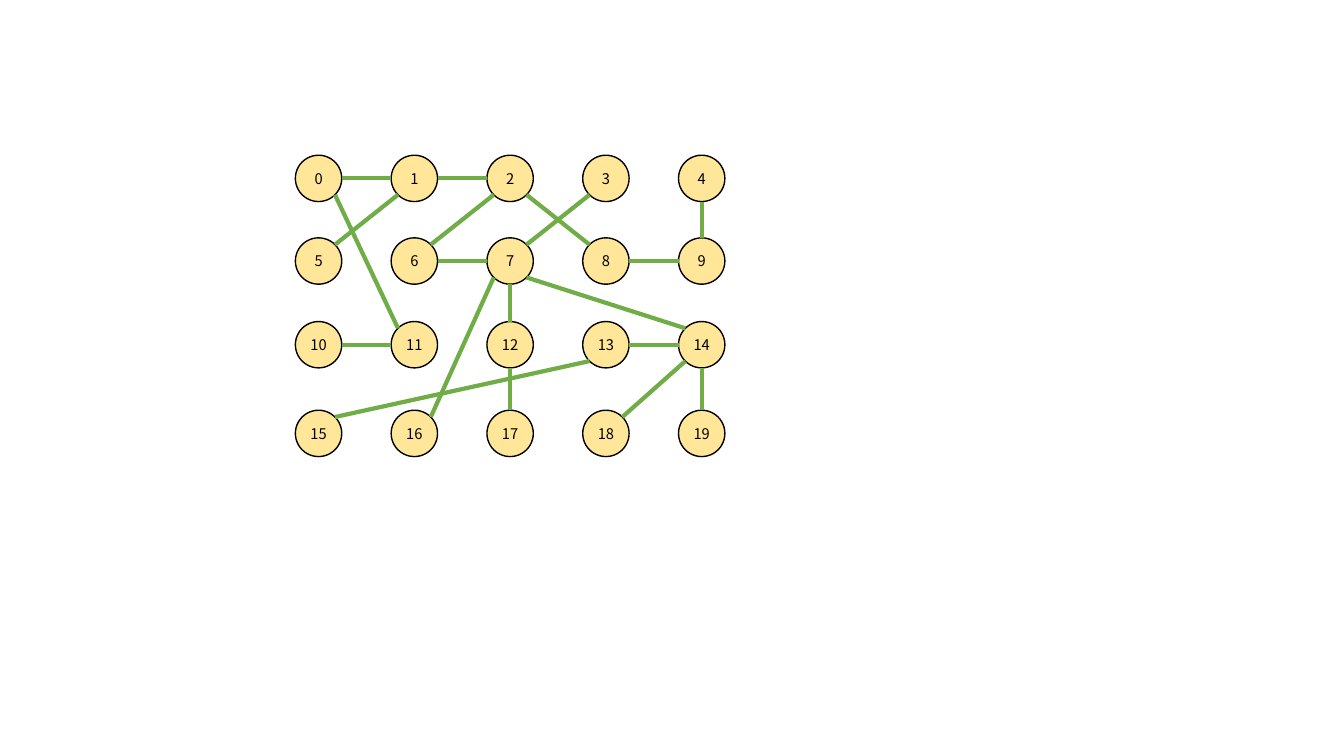
from dataclasses import dataclass
from math import sqrt
from lxml import etree
from pptx import Presentation
from pptx import util as u
from pptx.dml.color import RGBColor
from pptx.enum import shapes, text
from pptx.oxml import ns


@dataclass(frozen=True)
class Theme:
    fill: str = "FFE699"
    ink: str = "000000"
    edge: str = "70AD47"
    font: str = "Noto Sans CJK KR"
    size: float = 10.5
    rim: float = 1
    stroke: float = 3


# Grid of node centres, in inches
COLS = 5
LEFT, STEP = 3.16, 0.95
XS = [LEFT + STEP * c for c in range(COLS)]
YS = [1.77, 2.59, 3.42, 4.30]
RAD = 0.23

# Ellipse connection sites, keyed by direction (right, down)
SITES = {(0, -1): 0, (-1, -1): 1, (-1, 0): 2, (-1, 1): 3,
         (0, 1): 4, (1, 1): 5, (1, 0): 6, (1, -1): 7}

EDGES = [(0, 1), (0, 11), (1, 5), (1, 2), (2, 8), (6, 7), (6, 2),
         (10, 11), (16, 7), (12, 7), (14, 7), (7, 3), (8, 9), (9, 4),
         (15, 13), (17, 12), (13, 14), (18, 14), (19, 14)]


def sign(n):
    return (n > 0) - (n < 0)


class Graph:
    def __init__(self, slide, theme):
        self.slide, self.theme = slide, theme
        self.nodes = []

    def spot(self, num):
        row, col = divmod(num, COLS)
        return XS[col], YS[row]

    def node(self, num):
        t = self.theme
        x, y = self.spot(num)
        dot = self.slide.shapes.add_shape(
            shapes.MSO_SHAPE.OVAL, u.Inches(x - RAD), u.Inches(y - RAD),
            u.Inches(2 * RAD), u.Inches(2 * RAD))
        dot.shadow.inherit = False
        dot.fill.solid()
        dot.fill.fore_color.rgb = RGBColor.from_string(t.fill)
        dot.line.color.rgb = RGBColor.from_string(t.ink)
        dot.line.width = u.Pt(t.rim)
        # Centred label
        box = dot.text_frame
        box.margin_left = box.margin_right = 0
        box.margin_top = box.margin_bottom = 0
        box.word_wrap = False
        box.vertical_anchor = text.MSO_ANCHOR.MIDDLE
        par = box.paragraphs[0]
        par.alignment = text.PP_ALIGN.CENTER
        run = par.add_run()
        run.text = str(num)
        run.font.name, run.font.size = t.font, u.Pt(t.size)
        run.font.color.rgb = RGBColor.from_string(t.ink)
        self.nodes.append(dot)

    def port(self, num, way):
        """Point on the rim of a node that faces the given way."""
        x, y = self.spot(num)
        reach = RAD / sqrt(2) if all(way) else RAD
        return u.Inches(x + reach * way[0]), u.Inches(y + reach * way[1])

    def edge(self, a, b):
        (ax, ay), (bx, by) = self.spot(a), self.spot(b)
        way = sign(bx - ax), sign(by - ay)
        back = -way[0], -way[1]
        link = self.slide.shapes.add_connector(
            shapes.MSO_CONNECTOR.STRAIGHT, *self.port(a, way),
            *self.port(b, back))
        link.line.color.rgb = RGBColor.from_string(self.theme.edge)
        link.line.width = u.Pt(self.theme.stroke)
        etree.SubElement(link._element.spPr, ns.qn("a:effectLst"))
        # Glue both ends to their nodes
        glue = link._element.nvCxnSpPr.cNvCxnSpPr
        for tag, num, face in (("a:stCxn", a, way), ("a:endCxn", b, back)):
            etree.SubElement(glue, ns.qn(tag), id=str(self.nodes[num].shape_id),
                             idx=str(SITES[face]))


# Slide
deck = Presentation()
deck.slide_width, deck.slide_height = u.Inches(13.33), u.Inches(7.5)
graph = Graph(deck.slides.add_slide(deck.slide_layouts[6]), Theme())

# Nodes, then the edges above them
for num in range(COLS * len(YS)):
    graph.node(num)
for pair in EDGES:
    graph.edge(*pair)

deck.save("out.pptx")
